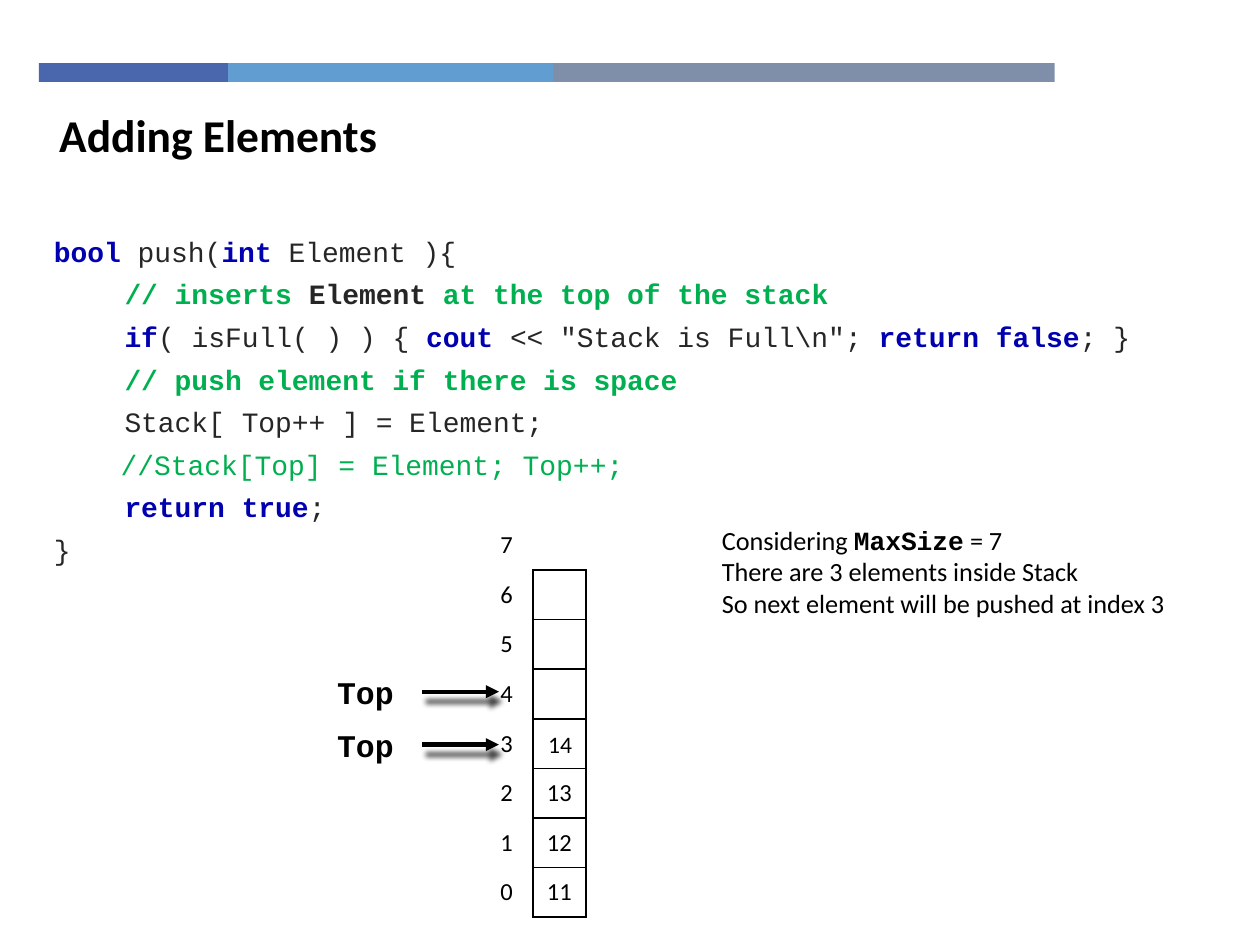
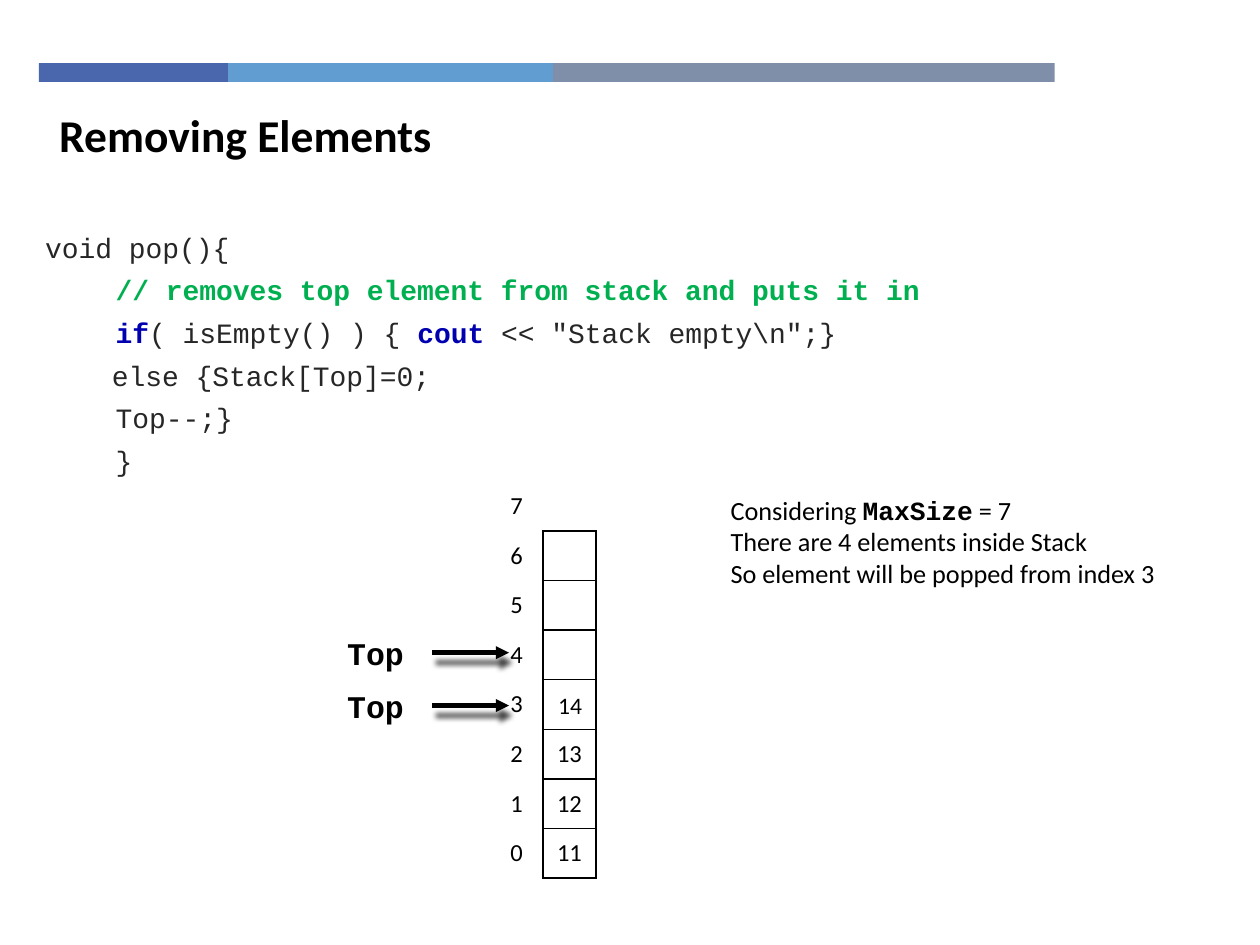
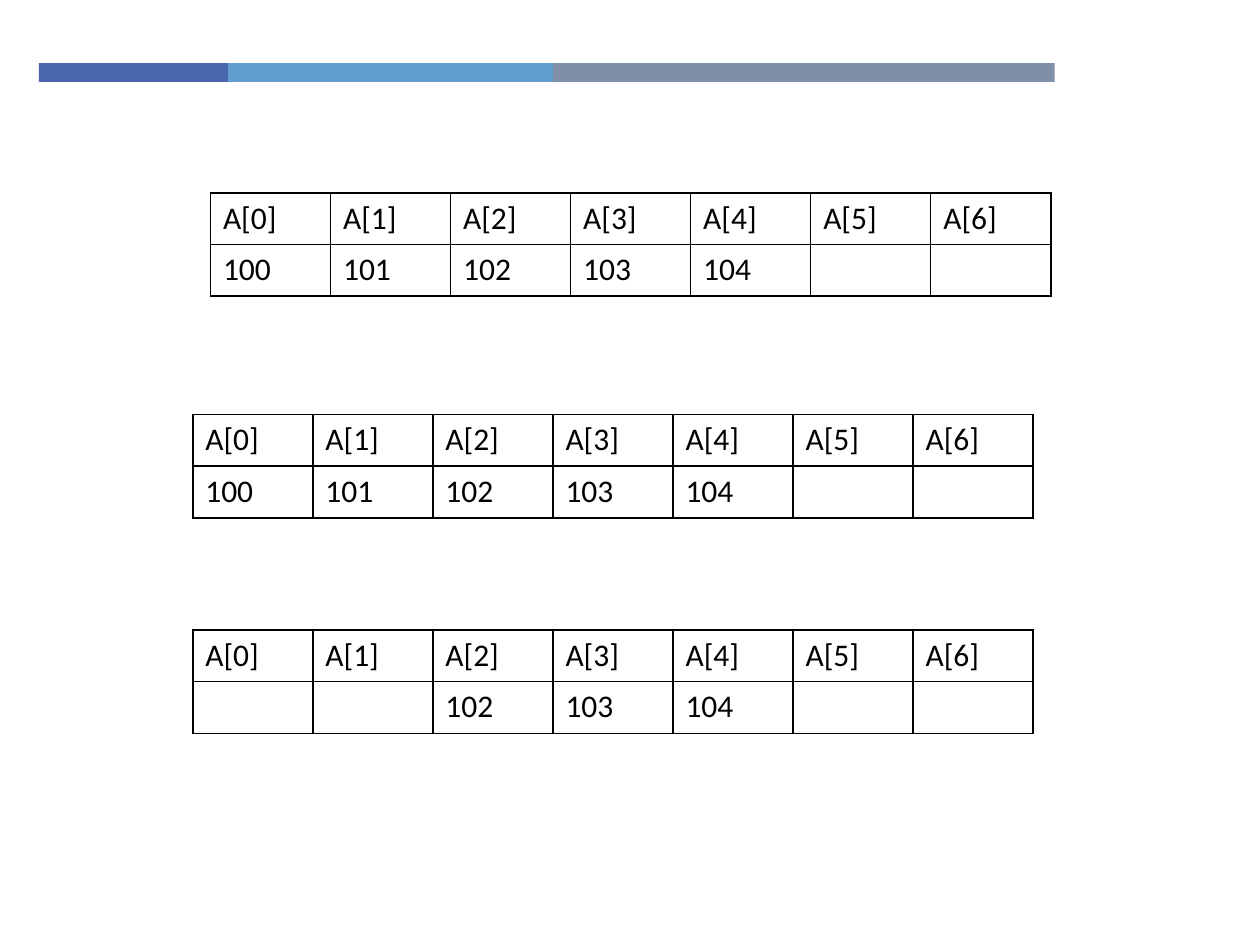
from lxml.etree import SubElement
from pptx import Presentation
from pptx.dml.color import RGBColor
from pptx.enum.shapes import MSO_CONNECTOR, MSO_SHAPE
from pptx.enum.text import MSO_ANCHOR, MSO_AUTO_SIZE, PP_ALIGN
from pptx.oxml.ns import qn
from pptx.util import Inches, Pt

BLUE = RGBColor(0x4A, 0x66, 0xAC)
SKY = RGBColor(0x62, 0x9D, 0xD1)
SLATE = RGBColor(0x7F, 0x8F, 0xA9)
NAVY = RGBColor(0x00, 0x00, 0xB0)
GREEN = RGBColor(0x00, 0xB0, 0x50)
DARK = RGBColor(0x26, 0x26, 0x26)
BLACK = RGBColor(0, 0, 0)
WHITE = RGBColor(255, 255, 255)
SANS = "Calibri"
MONO = "Courier New"
NO_GRID = "{2D5ABB26-0587-4C30-8999-92F81FD0307C}"

# Text styles: font, colour, bold
CODE = (MONO, DARK, False)
STRONG = (MONO, DARK, True)
WORD = (MONO, NAVY, True)
REMARK = (MONO, GREEN, True)
HINT = (MONO, GREEN, False)
LABEL = (MONO, BLACK, True)
PLAIN = (SANS, BLACK, False)
TITLE = (SANS, BLACK, True)


def write(para, size, *parts):
    """Add each (text, style) part to the paragraph as a run."""
    for text, (face, color, bold) in parts:
        run = para.add_run()
        run.text = text
        run.font.name = face
        run.font.size = Pt(size)
        run.font.bold = bold
        run.font.color.rgb = color


def grid(page, left, top, wide, high, rows, size, skip=0):
    """Add a plain table, boxing the cells past the first `skip` rows and columns."""
    frame = page.shapes.add_table(len(rows), len(rows[0]), Inches(left), Inches(top),
                                  Inches(wide * len(rows[0])), Inches(high * len(rows)))
    table = frame.table
    table.first_row = table.horz_banding = False
    table._tbl.tblPr.find(qn("a:tableStyleId")).text = NO_GRID
    for r, row in enumerate(rows):
        for c, text in enumerate(row):
            cell = table.cell(r, c)
            if text:
                write(cell.text_frame.paragraphs[0], size, (text, PLAIN))
            if r >= skip and c >= skip:
                for side in ("a:lnL", "a:lnR", "a:lnT", "a:lnB"):
                    edge = SubElement(cell._tc.get_or_add_tcPr(), qn(side), w=str(Pt(1)))
                    fill = SubElement(edge, qn("a:solidFill"))
                    SubElement(fill, qn("a:srgbClr"), val=str(BLACK))
            cell.fill.background()
    return table


prs = Presentation()
prs.slide_width = Inches(10)
prs.slide_height = Inches(7.5)
pages = [prs.slides.add_slide(prs.slide_layouts[n]) for n in (5, 5, 6)]

# Colour bands, moved to the master so that every slide shows them
left = 0.31
for n, (wide, color) in enumerate([(1.5, BLUE), (2.58, SKY), (3.98, SLATE)]):
    band = pages[0].shapes.add_shape(MSO_SHAPE.RECTANGLE, Inches(left), Inches(0.5),
                                     Inches(wide), Inches(0.15))
    band.shadow.inherit = False
    band.fill.solid()
    band.fill.fore_color.rgb = color
    band.line.fill.background()
    band._element.nvSpPr.cNvPr.set("id", str(100 + n))
    prs.slide_master.shapes._spTree.append(band._element)
    left += wide

# Each code line: left indent, then its parts
push = [
    (0, ("bool", WORD), (" push(", CODE), ("int ", WORD), ("Element ){", CODE)),
    (0.56, ("// inserts ", REMARK), ("Element ", STRONG),
     ("at the top of the stack", REMARK)),
    (0.56, ("if", WORD), ("( isFull( ) ) { ", CODE), ("cout ", WORD),
     ('<< "Stack is Full\\n"; ', CODE), ("return false", WORD), ("; }", CODE)),
    (0.56, ("// push element if there is space", REMARK)),
    (0.56, ("Stack[ Top++ ] = Element;", CODE)),
    (0.53, ("//Stack[Top] = Element; Top++;", HINT)),
    (0.56, ("return true", WORD), (";", CODE)),
    (0, ("}", CODE)),
]
pop = [
    (0, ("void pop(){", CODE)),
    (0.56, ("// removes top element from stack and puts it in", REMARK)),
    (0.56, ("if", WORD), ("( isEmpty() ) { ", CODE), ("cout ", WORD),
     ('<< "Stack empty\\n";}', CODE)),
    (0.53, ("else {Stack[Top]=0;", CODE)),
    (0.56, ("Top--;}", CODE)),
    (0.56, ("}", CODE)),
]
# Title, code, code box, stack corner, note corner, note lines
demos = [
    ("Adding Elements", push, (0.33, 1.86, 9.41, 2.25), (3.81, 4.13), (5.63, 4.11),
     ["There are 3 elements inside Stack", "So next element will be pushed at index 3"]),
    ("Removing Elements", pop, (0.26, 1.83, 9.74, 2.05), (3.89, 3.82), (5.7, 3.87),
     ["There are 4 elements inside Stack", "So element will be popped from index 3"]),
]
stored = {0: "11", 1: "12", 2: "13"}
stack = [(str(n), stored.get(n, "")) for n in range(7, -1, -1)]

for page, (name, code, area, (x, y), spot, facts) in zip(pages, demos):
    shapes = page.shapes

    title = shapes.title
    title.left, title.top, title.width, title.height = map(Inches, (0.37, 0.8, 7.16, 0.54))
    title.text_frame.auto_size = MSO_AUTO_SIZE.NONE
    title.text_frame.vertical_anchor = MSO_ANCHOR.TOP
    para = title.text_frame.paragraphs[0]
    para.alignment = PP_ALIGN.LEFT
    para.space_before = Pt(20)
    write(para, 26, (name, TITLE))

    frame = shapes.add_textbox(*map(Inches, area)).text_frame
    frame.word_wrap = True
    for n, (indent, *parts) in enumerate(code):
        para = frame.add_paragraph() if n else frame.paragraphs[0]
        para.alignment = PP_ALIGN.JUSTIFY
        para.line_spacing = 0.8
        para.space_before = para.space_after = Pt(4.5)
        para._p.get_or_add_pPr().set("marL", str(Inches(indent)))
        write(para, 16, *parts)

    table = grid(page, x, y, 0.42, 3.15 / 8, stack, 14, skip=1)
    for cell in table.iter_cells():
        cell.margin_left = cell.margin_right = Inches(0.07)
        cell.margin_top = cell.margin_bottom = Inches(0.04)
        cell.vertical_anchor = MSO_ANCHOR.MIDDLE
        cell.text_frame.paragraphs[0].alignment = PP_ALIGN.CENTER

    for drop in (1.62, 1.2):
        tag = shapes.add_shape(MSO_SHAPE.RECTANGLE, Inches(x - 1.35), Inches(y + drop),
                               Inches(0.88), Inches(0.32))
        tag.shadow.inherit = False
        tag.fill.solid()
        tag.fill.fore_color.rgb = WHITE
        tag.line.fill.background()
        tag.text_frame.vertical_anchor = MSO_ANCHOR.MIDDLE
        para = tag.text_frame.paragraphs[0]
        para.alignment = PP_ALIGN.CENTER
        write(para, 18, ("Top", LABEL))

        level = Inches(y + drop + 0.16)
        arrow = shapes.add_connector(MSO_CONNECTOR.STRAIGHT, Inches(x - 0.46), level,
                                     Inches(x + 0.15), level)
        arrow.line.color.rgb = BLACK
        arrow.line.width = Pt(2.5)
        props = arrow._element.spPr
        SubElement(props.find(qn("a:ln")), qn("a:tailEnd"), type="triangle")
        shade = SubElement(SubElement(props, qn("a:effectLst")), qn("a:outerShdw"),
                           blurRad=str(Pt(3)), dist=str(Pt(6)), dir=str(70 * 60000))
        tint = SubElement(shade, qn("a:srgbClr"), val=str(BLACK))
        SubElement(tint, qn("a:alpha"), val="75000")

    frame = shapes.add_textbox(Inches(x + 0.43), Inches(y + 1.58),
                               Inches(0.41), Inches(0.39)).text_frame
    frame.vertical_anchor = MSO_ANCHOR.MIDDLE
    frame.word_wrap = True
    frame.paragraphs[0].alignment = PP_ALIGN.CENTER
    write(frame.paragraphs[0], 13.5, ("14", PLAIN))

    frame = shapes.add_textbox(*map(Inches, spot), Inches(4.11), Inches(0.86)).text_frame
    frame.word_wrap = True
    write(frame.paragraphs[0], 15, ("Considering ", PLAIN), ("MaxSize", LABEL),
          (" = 7", PLAIN))
    for fact in facts:
        write(frame.add_paragraph(), 15, (fact, PLAIN))
    for para in frame.paragraphs:
        para.alignment = PP_ALIGN.JUSTIFY

heads = [f"A[{n}]" for n in range(7)]
full = ["100", "101", "102", "103", "104", "", ""]
for left, top, values in [(1.67, 1.53, full), (1.53, 3.29, full),
                          (1.53, 5, ["", ""] + full[2:])]:
    grid(pages[2], left, top, 6.67 / 7, 0.41, [heads, values], 18)

prs.save("out.pptx")
